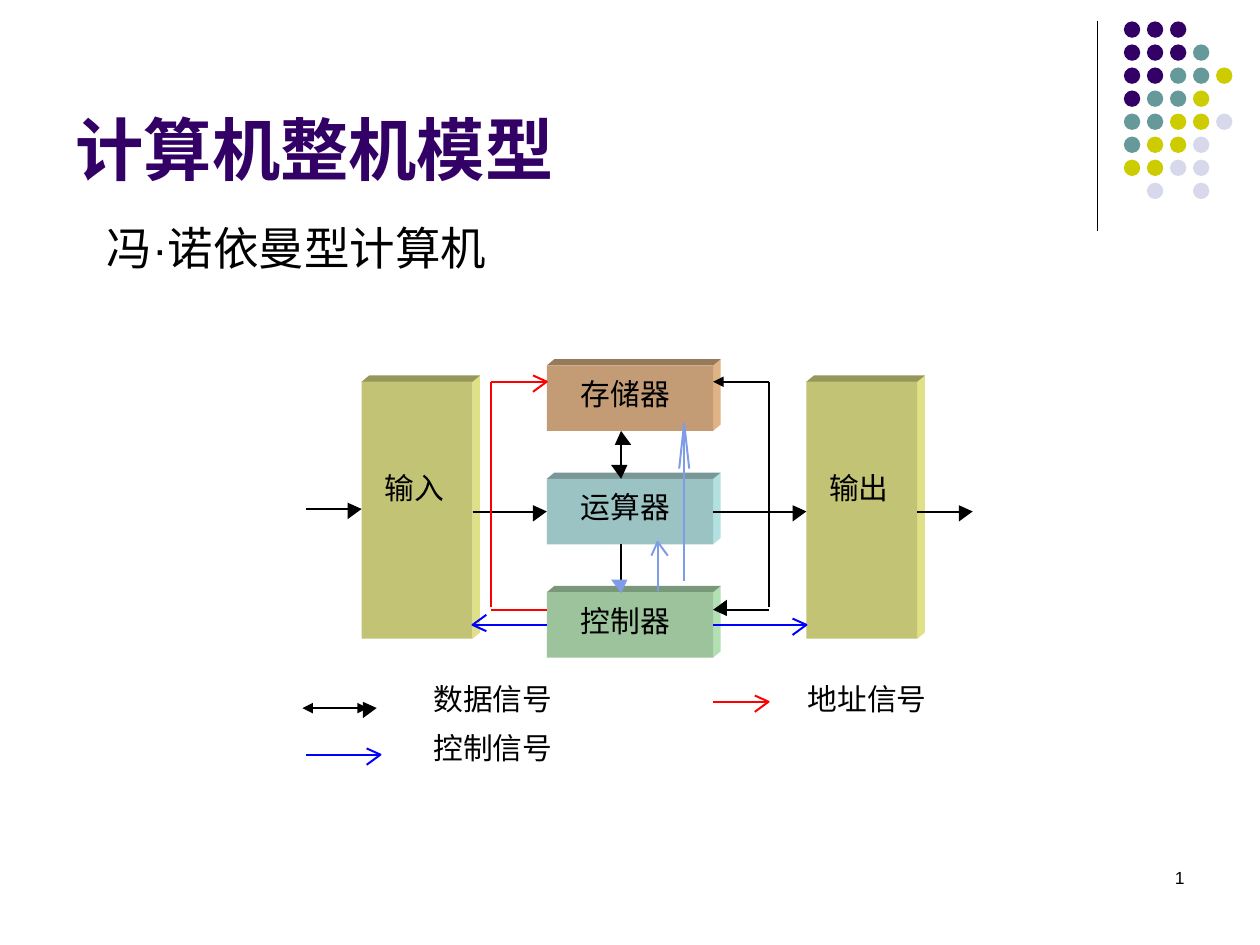
from dataclasses import dataclass
from math import copysign

from lxml.etree import SubElement
from pptx import Presentation
from pptx.dml.color import RGBColor
from pptx.enum.shapes import MSO_CONNECTOR, MSO_SHAPE
from pptx.enum.text import MSO_ANCHOR, MSO_AUTO_SIZE, PP_ALIGN
from pptx.oxml.ns import qn
from pptx.util import Inches, Pt

BLACK = RGBColor(0x00, 0x00, 0x00)
PURPLE = RGBColor(0x33, 0x00, 0x66)
TEAL = RGBColor(0x66, 0x99, 0x99)
LIME = RGBColor(0xCC, 0xCC, 0x00)
MIST = RGBColor(0xD8, 0xD8, 0xEC)
RED = RGBColor(0xFF, 0x00, 0x00)
BLUE = RGBColor(0x00, 0x00, 0xFF)
SKY = RGBColor(0x7E, 0x9C, 0xE8)

BROWN = (RGBColor(0xC3, 0x9C, 0x75), RGBColor(0x97, 0x79, 0x5B), RGBColor(0xE0, 0xB3, 0x86))
OLIVE = (RGBColor(0xC3, 0xC3, 0x75), RGBColor(0x97, 0x97, 0x5B), RGBColor(0xE0, 0xE0, 0x86))
AQUA = (RGBColor(0x9C, 0xC3, 0xC3), RGBColor(0x79, 0x97, 0x97), RGBColor(0xB3, 0xE0, 0xE0))
GREEN = (RGBColor(0x9C, 0xC3, 0x9C), RGBColor(0x79, 0x97, 0x79), RGBColor(0xB3, 0xE0, 0xB3))

LATIN = "Arial"
HAN = "Noto Sans CJK SC"
STROKE = 1.13
DEPTH = (0.06, 0.05)
SHORT = (1.32, 0.52)
TALL = (0.88, 2.04)
PITCH = 1.28 / 7
DOTS = ("PPP", "PPPT", "PPTTL", "PTTL", "TTLLM", "TLLM", "LLMM", " M M")
TINTS = {"P": PURPLE, "T": TEAL, "L": LIME, "M": MIST}

Point = tuple[float, float]


@dataclass
class Block:
    name: str
    left: float
    top: float
    size: Point
    fills: tuple
    inset: Point


@dataclass
class Wire:
    start: Point
    end: Point
    color: RGBColor = BLACK
    head: str = ""
    tint: RGBColor | None = None
    reach: tuple = (0.11, -0.05, 0.08)
    ends: tuple = ()
    both: bool = False


BLOCKS = (
    Block("存储器", 4.34, 2.85, SHORT, BROWN, (0.27, 0.13)),
    Block("输出", 6.4, 2.98, TALL, OLIVE, (0.18, 0.75)),
    Block("输入", 2.87, 2.98, TALL, OLIVE, (0.18, 0.75)),
    Block("运算器", 4.34, 3.75, SHORT, AQUA, (0.27, 0.13)),
    Block("控制器", 4.34, 4.65, SHORT, GREEN, (0.27, 0.13)),
)
WIRES = (
    Wire((3.75, 4.06), (4.34, 4.06), head="solid"),
    Wire((5.66, 4.06), (6.4, 4.06), head="solid"),
    Wire((2.43, 4.04), (2.87, 4.04), head="solid"),
    Wire((7.28, 4.06), (7.72, 4.06), head="solid"),
    Wire((6.1, 4.84), (5.66, 4.84), head="solid"),
    Wire((5.66, 3.03), (6.1, 3.03), ends=("headEnd",)),
    Wire((6.1, 3.03), (6.1, 4.82)),
    Wire((4.93, 3.42), (4.93, 3.8), head="solid", both=True),
    Wire((4.93, 4.32), (4.93, 4.71), head="solid", tint=SKY),
    Wire((3.9, 3.03), (4.34, 3.03), RED, "open"),
    Wire((3.9, 4.84), (4.34, 4.84), RED),
    Wire((3.9, 3.03), (3.9, 4.82), RED),
    Wire((4.34, 4.96), (3.75, 4.96), BLUE, "open"),
    Wire((2.4, 5.62), (2.99, 5.62), head="solid", ends=("headEnd", "tailEnd")),
    Wire((2.43, 5.99), (3.02, 5.99), BLUE, "open"),
    Wire((5.22, 4.69), (5.22, 4.3), SKY, "open"),
    Wire((5.66, 4.96), (6.4, 4.96), BLUE, "open"),
    Wire((5.66, 5.57), (6.1, 5.57), RED, "open"),
    Wire((5.43, 4.61), (5.43, 3.36), SKY, "open", reach=(0.36, -0.04, 0.04)),
)
KEYS = (("数据信号", 3.44, 5.4), ("控制信号", 3.44, 5.79), ("地址信号", 6.41, 5.4))


def apply(item, form: dict) -> None:
    for key, value in form.items():
        setattr(item, key, value)


def write(shape, text: str, size: float, color=BLACK, bold=False, font=LATIN, align=PP_ALIGN.LEFT, **frame) -> None:
    apply(shape.text_frame, frame)
    line = shape.text_frame.paragraphs[0]
    line.alignment = align
    run = line.add_run()
    run.text = text
    apply(run.font, {"name": font, "size": Pt(size), "bold": bold})
    run.font.color.rgb = color
    SubElement(run.font._element, qn("a:ea"), typeface=HAN)


def place(slide, left: float, top: float, wide: float, high: float):
    return slide.shapes.add_textbox(*map(Inches, (left, top, wide, high)))


def label(slide, text: str, left: float, top: float) -> None:
    box = place(slide, left, top, 0.24 * len(text), 0.28)
    sides = ("margin_left", "margin_top", "margin_right", "margin_bottom")
    write(box, text, 17, font=HAN, word_wrap=False,
          auto_size=MSO_AUTO_SIZE.SHAPE_TO_FIT_TEXT, **dict.fromkeys(sides, 0))


def paint(shape, color: RGBColor) -> None:
    shape.shadow.inherit = False
    shape.fill.solid()
    shape.fill.fore_color.rgb = color
    shape.line.fill.background()


def solid(slide, kind, spot: tuple, color: RGBColor) -> None:
    paint(slide.shapes.add_shape(kind, *map(Inches, spot)), color)


def outline(slide, points: list[Point], closed=True):
    first, *rest = [(Inches(x), Inches(y)) for x, y in points]
    path = slide.shapes.build_freeform(*first)
    path.add_line_segments(rest, close=closed)
    return path.convert_to_shape()


def draw_block(slide, block: Block) -> None:
    wide, high = block.size
    deep, rise = DEPTH
    left, top = block.left, block.top + rise
    right, base = left + wide, top + high
    front, lid, side = block.fills
    paint(outline(slide, [(right, base), (right, top), (right + deep, top - rise),
                          (right + deep, base - rise)]), side)
    paint(outline(slide, [(right, top), (left, top), (left + deep, top - rise),
                          (right + deep, top - rise)]), lid)
    solid(slide, MSO_SHAPE.RECTANGLE, (left, top, wide, high), front)
    label(slide, block.name, left + block.inset[0], block.top + block.inset[1])


def draw_line(slide, start: Point, end: Point, color: RGBColor, width: float, ends=()) -> None:
    line = slide.shapes.add_connector(MSO_CONNECTOR.STRAIGHT, *map(Inches, (*start, *end)))
    line.line.color.rgb = color
    line.line.width = Pt(width)
    for tag in ends:
        SubElement(line.line._get_or_add_ln(), qn(f"a:{tag}"), type="triangle")
    SubElement(line._element.spPr, qn("a:effectLst"))


def aim(start: Point, end: Point) -> Point:
    return tuple(copysign(1, b - a) if a != b else 0 for a, b in zip(start, end))


def draw_head(slide, tip: Point, way: Point, wire: Wire) -> None:
    back, near, far = wire.reach
    (x, y), (dx, dy) = tip, way
    wings = [(x - back * dx - side * dy, y - back * dy + side * dx) for side in (far, near)]
    shape = outline(slide, [wings[0], tip, wings[1]], wire.head == "solid")
    paint(shape, wire.tint or wire.color)
    if wire.head == "open":
        shape.fill.background()
        shape.line.color.rgb = wire.color
        shape.line.width = Pt(STROKE)


def draw_wire(slide, wire: Wire) -> None:
    way = aim(wire.start, wire.end)
    gap = 0.07 if wire.head == "solid" else 0
    end = tuple(p - gap * d for p, d in zip(wire.end, way))
    start = tuple(p + gap * d * wire.both for p, d in zip(wire.start, way))
    draw_line(slide, start, end, wire.color, STROKE, wire.ends)
    if wire.head:
        draw_head(slide, wire.end, way, wire)
    if wire.both:
        draw_head(slide, wire.start, aim(wire.end, wire.start), wire)


def main() -> None:
    deck = Presentation()
    apply(deck, {"slide_width": Inches(10), "slide_height": Inches(7.5)})
    slide = deck.slides.add_slide(deck.slide_layouts[5])

    title = slide.shapes.title
    spot = {"left": 0.5, "top": 0.13, "width": 8.25, "height": 1.42}
    apply(title, {key: Inches(value) for key, value in spot.items()})
    write(title, "计算机整机模型", 39, PURPLE, True, word_wrap=True,
          auto_size=MSO_AUTO_SIZE.NONE, vertical_anchor=MSO_ANCHOR.BOTTOM)

    draw_line(slide, (8.71, 0.17), (8.71, 1.83), BLACK, 0.75)
    for row, codes in enumerate(DOTS):
        for col, code in enumerate(codes):
            if code in TINTS:
                spot = (8.92 + col * PITCH, 0.17 + row * PITCH, 0.13, 0.13)
                solid(slide, MSO_SHAPE.OVAL, spot, TINTS[code])

    write(place(slide, 7.17, 6.83, 2.33, 0.5), "1", 10, align=PP_ALIGN.RIGHT, word_wrap=True)
    write(place(slide, 0.75, 1.7, 4.42, 4.82), "冯·诺依曼型计算机", 26, word_wrap=True)

    for block in BLOCKS:
        draw_block(slide, block)
    for key in KEYS:
        label(slide, *key)
    for wire in WIRES:
        draw_wire(slide, wire)
    deck.save("out.pptx")


if __name__ == "__main__":
    main()
